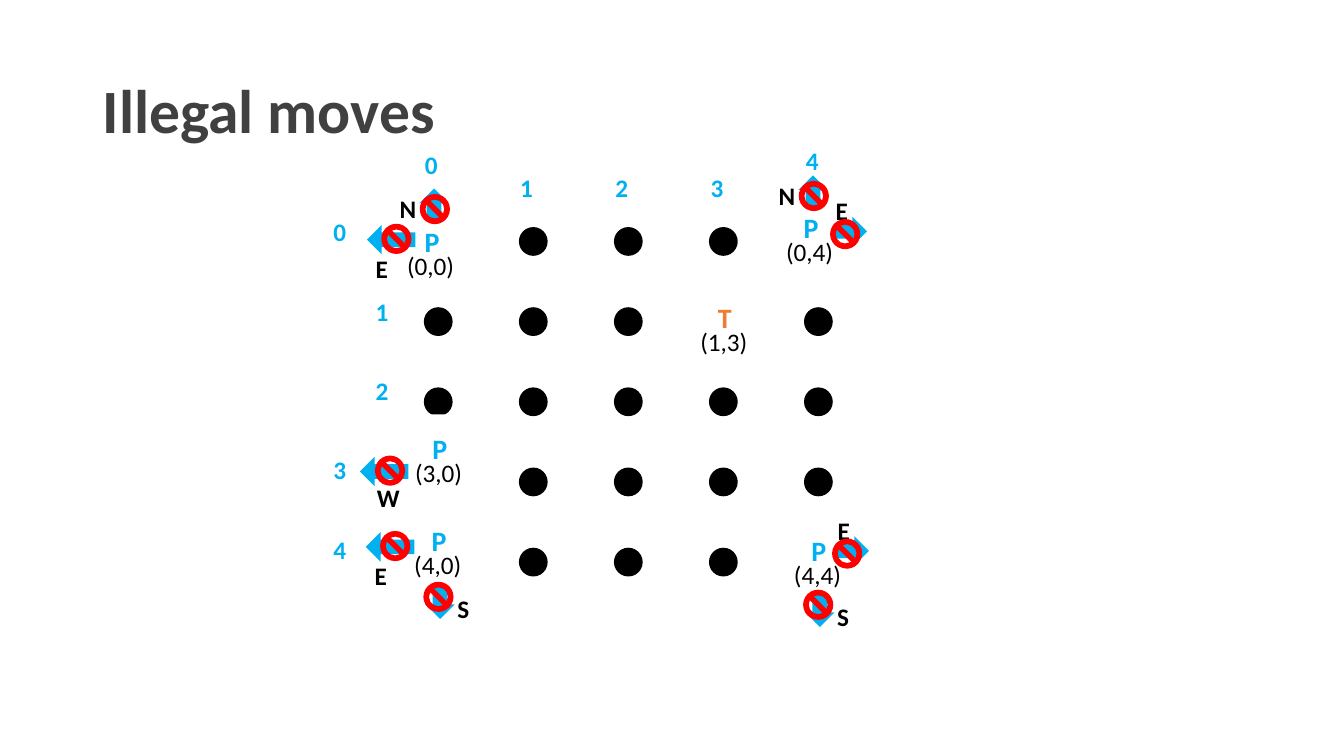
"""Build the slide on illegal moves in a five by five grid."""
from pptx import Presentation
from pptx import util as u
from pptx.dml.color import RGBColor
from pptx.enum import shapes, text

FONT = "Calibri"
COLORS = {"title": "404040", "player": "00B0F0", "target": "ED7D31",
          "ink": "000000", "paper": "FFFFFF", "barred": "FF0000"}
GRID_SIZE = 5
MARKERS = {
    (3, 0): ("P", 10.21, 10.44, [("W", -1.14, 1.07)]),
    (1, 3): ("T", 17.4, 7.14, []),
    (4, 0): ("P", 10.19, 12.75, [("west E", -0.97, 0.66), ("S", 0.48, 2.06)]),
    (4, 4): ("P", 19.76, 13.0, [("E", 1.3, 0.51), ("S", 0.48, 2.01)]),
    (0, 4): ("P", 19.56, 4.85, [("E", 1.45, 0.61), ("N", 0.51, -0.38)]),
    (0, 0): ("P", 10.01, 5.21, [("N", 0.51, -0.41), ("west E", -0.76, 0.46)]),
}
MOVES = {
    "N": (270, 0.84, (-0.7, -0.05, 0.94), (0.06, 0.09)),
    "E": (0, 0.84, (-0.2, -0.66, 0.81), (-0.09, 0.06)),
    "S": (90, 0.84, (0.61, 0.01, 0.81), (0, -0.15)),
    "W": (180, 1.22, (0.18, 0.53, 1.09), (0.38, -0.03)),
    "west E": (180, 1.22, (-0.03, 0.58, 0.81), (0.36, -0.03)),
}


def rgb(name):
    """Return the named colour."""
    return RGBColor.from_string(COLORS[name])


def add_label(slide, words, box, color, size=18, bold=True, wrap=False):
    """Add one line of text in a box given in centimetres."""
    shape = slide.shapes.add_textbox(*map(u.Cm, box))
    frame = shape.text_frame
    frame.word_wrap = wrap
    paragraph = frame.paragraphs[0]
    run = paragraph.add_run()
    run.text = words
    run.font.name = FONT
    run.font.size = u.Pt(size)
    run.font.bold = bold
    run.font.color.rgb = rgb(color)
    return shape


def add_figure(slide, kind, box, color, outline=False):
    """Add a flat preset shape in a box given in centimetres."""
    shape = slide.shapes.add_shape(kind, *map(u.Cm, box))
    shape.shadow.inherit = False
    shape.fill.solid()
    shape.fill.fore_color.rgb = rgb(color)
    if outline:
        shape.line.color.rgb = rgb(color)
        shape.line.width = u.Pt(1)
    else:
        shape.line.fill.background()
    return shape


def add_title(slide, box):
    """Add the slide heading."""
    frame = add_label(slide, "Illegal moves", box, "title", 44, wrap=True).text_frame
    frame.vertical_anchor = text.MSO_ANCHOR.MIDDLE
    frame.paragraphs[0].line_spacing = 0.9


def add_dots(slide, left, top):
    """Add a dot at every grid point without a marker."""
    for row in range(GRID_SIZE):
        for column in range(GRID_SIZE):
            if (row, column) not in MARKERS:
                box = (left + 2.395 * column, top + 2.02 * row, 0.69, 0.69)
                add_figure(slide, shapes.MSO_SHAPE.OVAL, box, "ink", outline=True)


def add_indices(slide, left, top):
    """Number the columns above the grid and the rows beside it."""
    column_tops = {0: -0.59, 4: -0.69}
    row_lefts = {1: -1.24, 2: -1.24}
    for index in range(GRID_SIZE):
        column_box = (left + 2.4 * index, top + column_tops.get(index, 0), 0.84, 1.02)
        row_box = (left + row_lefts.get(index, -2.31), top + 1.11 + 2 * index, 0.84, 1.02)
        for box in (column_box, row_box):
            add_label(slide, str(index), box, "player")


def add_barred_move(slide, move, left, top):
    """Add an arrow, its compass letter and a prohibition sign."""
    rotation, length, (letter_x, letter_y, letter_width), (sign_x, sign_y) = MOVES[move]
    arrow = add_figure(slide, shapes.MSO_SHAPE.RIGHT_ARROW,
                       (left, top, length, 0.74), "player")
    arrow.rotation = rotation
    add_label(slide, move[-1], (left + letter_x, top + letter_y, letter_width, 1.02), "ink")
    add_figure(slide, shapes.MSO_SHAPE.NO_SYMBOL,
               (left + sign_x, top + sign_y, 0.76, 0.76), "barred")


def add_marker(slide, cell, letter, left, top, moves):
    """Add a player or target with its coordinates and barred moves."""
    add_figure(slide, shapes.MSO_SHAPE.RECTANGLE, (left, top, 1.73, 1.8), "paper")
    color = "player" if letter == "P" else "target"
    add_label(slide, letter, (left + 0.44, top + 0.32, 0.89, 1.12), color, 20)
    coordinates = f"({cell[0]},{cell[1]})"
    add_label(slide, coordinates, (left, top + 0.97, 1.73, 1.02), "ink", bold=False)
    for move, x, y in moves:
        add_barred_move(slide, move, left + x, top + y)


def main():
    """Build and save the presentation."""
    presentation = Presentation()
    presentation.slide_width = u.Cm(33.87)
    presentation.slide_height = u.Cm(19.05)
    slide = presentation.slides.add_slide(presentation.slide_layouts[6])
    add_title(slide, (2.34, 1.02, 29.21, 3.68))
    add_dots(slide, 10.7, 5.74)
    add_indices(slide, 10.46, 4.22)
    for cell, marker in MARKERS.items():
        add_marker(slide, cell, *marker)
    presentation.save("out.pptx")


if __name__ == "__main__":
    main()
